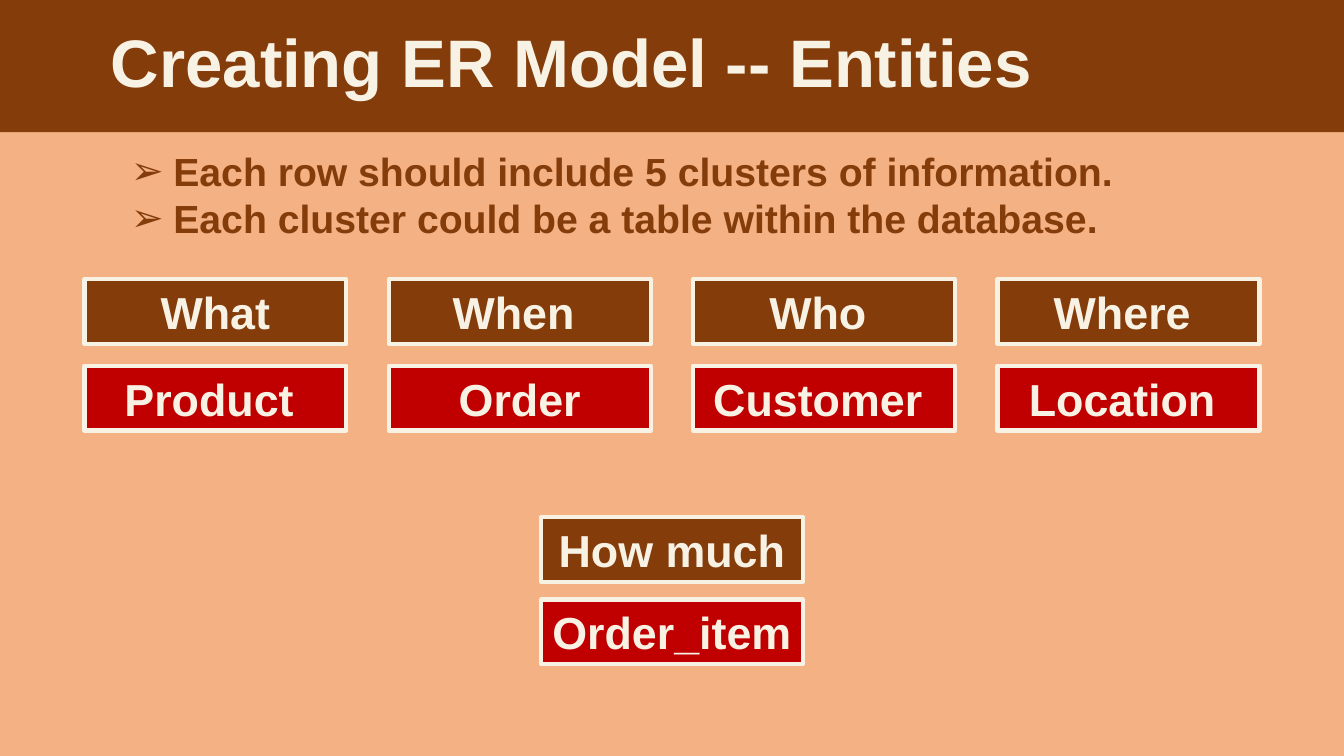
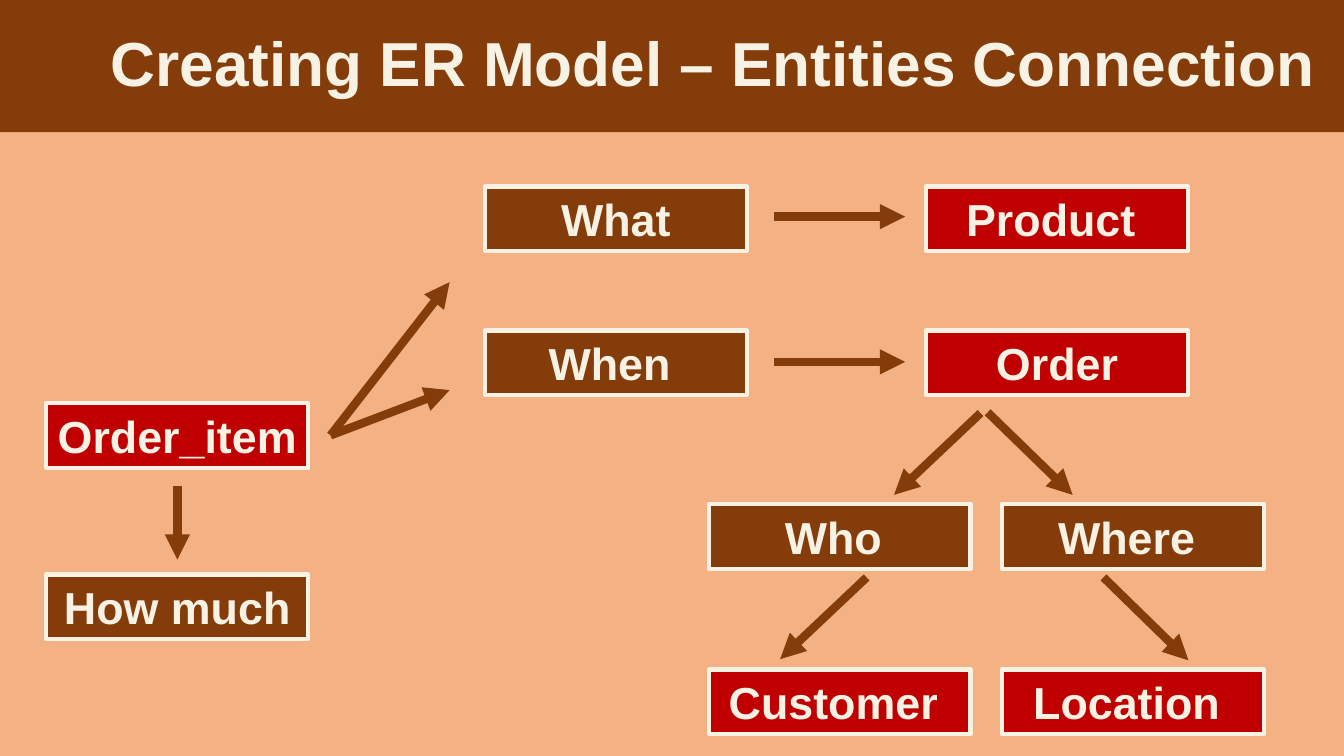
"""Build two slides on the entities of an ER model and their connections."""
import pptx
import pptx.dml.color
import pptx.enum.shapes
import pptx.enum.text
import pptx.oxml.ns
import pptx.util
from lxml import etree
from pptx.util import Cm

COLOURS = {"background": "F4B183", "brown": "843C0B", "red": "C00000", "cream": "F8F2E4"}
FONT = "Arial"
SLIDE_WIDTH, SLIDE_HEIGHT = 33.87, 19.05
BAND_HEIGHT = 3.33
BOX_WIDTH, BOX_HEIGHT = 6.6, 1.63
BULLET_INDENT = 1.07

CLUSTERS = [("What", "Product "), ("When ", "Order"), ("Who ", "Customer "), ("Where ", "Location ")]
MEASURE = ("How much", "Order_item ")
CLUSTER_LEFT, CLUSTER_STEP = 2.13, 7.67
QUESTION_TOP, ENTITY_TOP = 7.04, 9.22
MEASURE_TOPS = (13.03, 15.11)

CONNECTION_PLACES = [
    ((12.22, 4.7), (23.34, 4.7)),
    ((12.22, 8.33), (23.34, 8.33)),
    ((17.86, 12.7), (17.86, 16.87)),
    ((25.25, 12.7), (25.25, 16.87)),
    ((1.17, 14.48), (1.17, 10.16)),
]
ARROWS = [
    ((8.33, 10.97), (11.33, 7.11)),
    ((8.33, 10.97), (11.33, 9.83)),
    ((24.71, 10.41), (22.53, 12.47)),
    ((24.89, 10.39), (27.03, 12.47)),
    ((19.51, 5.46), (22.81, 5.46)),
    ((19.51, 9.12), (22.81, 9.12)),
    ((21.84, 14.55), (19.66, 16.61)),
    ((27.81, 14.55), (29.95, 16.64)),
    ((4.47, 12.24), (4.47, 14.1)),
]


def colour(name):
    return pptx.dml.color.RGBColor.from_string(COLOURS[name])


def add_element(parent, tag, **attributes):
    return etree.SubElement(parent, pptx.oxml.ns.qn(tag), attributes)


def write_text(paragraph, text, size, color="cream", alignment="LEFT", line_spacing=1.0):
    paragraph.text = text
    paragraph.alignment = getattr(pptx.enum.text.PP_ALIGN, alignment)
    paragraph.line_spacing = line_spacing
    font = paragraph.font
    font.name = FONT
    font.size = pptx.util.Pt(size)
    font.bold = True
    font.color.rgb = colour(color)


def add_rectangle(slide, left, top, width, height, fill, outline=None):
    shape = slide.shapes.add_shape(
        pptx.enum.shapes.MSO_SHAPE.RECTANGLE, Cm(left), Cm(top), Cm(width), Cm(height))
    shape.shadow.inherit = False
    shape.fill.solid()
    shape.fill.fore_color.rgb = colour(fill)
    if outline:
        shape.line.color.rgb = colour(outline)
        shape.line.width = pptx.util.Pt(3)
    else:
        shape.line.fill.background()
    shape.text_frame.word_wrap = True
    shape.text_frame.vertical_anchor = pptx.enum.text.MSO_ANCHOR.MIDDLE
    return shape


def add_titled_slide(presentation, title, size):
    slide = presentation.slides.add_slide(presentation.slide_layouts[6])
    slide.background.fill.solid()
    slide.background.fill.fore_color.rgb = colour("background")
    band = add_rectangle(slide, 0, 0, SLIDE_WIDTH, BAND_HEIGHT, "brown")
    band.text_frame.margin_left = Cm(2.79)
    write_text(band.text_frame.paragraphs[0], title, size, line_spacing=0.9)
    return slide


def add_box(slide, text, left, top, fill):
    box = add_rectangle(slide, left, top, BOX_WIDTH, BOX_HEIGHT, fill, outline="cream")
    write_text(box.text_frame.paragraphs[0], text, 32, alignment="CENTER")


def add_pair(slide, pair, question_place, entity_place):
    for text, place, fill in zip(pair, (question_place, entity_place), ("brown", "red")):
        add_box(slide, text, *place, fill)


def add_bullets(slide, lines, left, top, width, height):
    frame = slide.shapes.add_textbox(Cm(left), Cm(top), Cm(width), Cm(height)).text_frame
    frame.word_wrap = True
    for index, line in enumerate(lines):
        paragraph = frame.add_paragraph() if index else frame.paragraphs[0]
        properties = paragraph._p.get_or_add_pPr()
        properties.set("marL", str(Cm(BULLET_INDENT)))
        properties.set("indent", str(-Cm(BULLET_INDENT)))
        add_element(properties, "a:buFont", typeface=FONT)
        add_element(properties, "a:buChar", char="➢")
        write_text(paragraph, line, 28, color="brown")


def add_arrow(slide, start, end):
    arrow = slide.shapes.add_connector(
        pptx.enum.shapes.MSO_CONNECTOR.STRAIGHT, *map(Cm, start + end))
    arrow.line.color.rgb = colour("brown")
    arrow.line.width = pptx.util.Pt(6)
    add_element(arrow.line._get_or_add_ln(), "a:tailEnd", type="triangle")
    add_element(arrow._element.spPr, "a:effectLst")


def add_entities_slide(presentation):
    slide = add_titled_slide(presentation, "Creating ER Model -- Entities", 48)
    add_bullets(slide, ["Each row should include 5 clusters of information.",
                        "Each cluster could be a table within the database."],
                3.05, 3.58, 30.82, 2.64)
    for index, pair in enumerate(CLUSTERS):
        left = CLUSTER_LEFT + index * CLUSTER_STEP
        add_pair(slide, pair, (left, QUESTION_TOP), (left, ENTITY_TOP))
    center_left = (SLIDE_WIDTH - BOX_WIDTH) / 2
    add_pair(slide, MEASURE, *((center_left, top) for top in MEASURE_TOPS))


def add_connections_slide(presentation):
    slide = add_titled_slide(presentation, "Creating ER Model – Entities Connection", 44.4)
    for pair, places in zip(CLUSTERS + [MEASURE], CONNECTION_PLACES):
        add_pair(slide, pair, *places)
    for start, end in ARROWS:
        add_arrow(slide, start, end)


def main():
    presentation = pptx.Presentation()
    presentation.slide_width = Cm(SLIDE_WIDTH)
    presentation.slide_height = Cm(SLIDE_HEIGHT)
    add_entities_slide(presentation)
    add_connections_slide(presentation)
    presentation.save("out.pptx")


if __name__ == "__main__":
    main()
